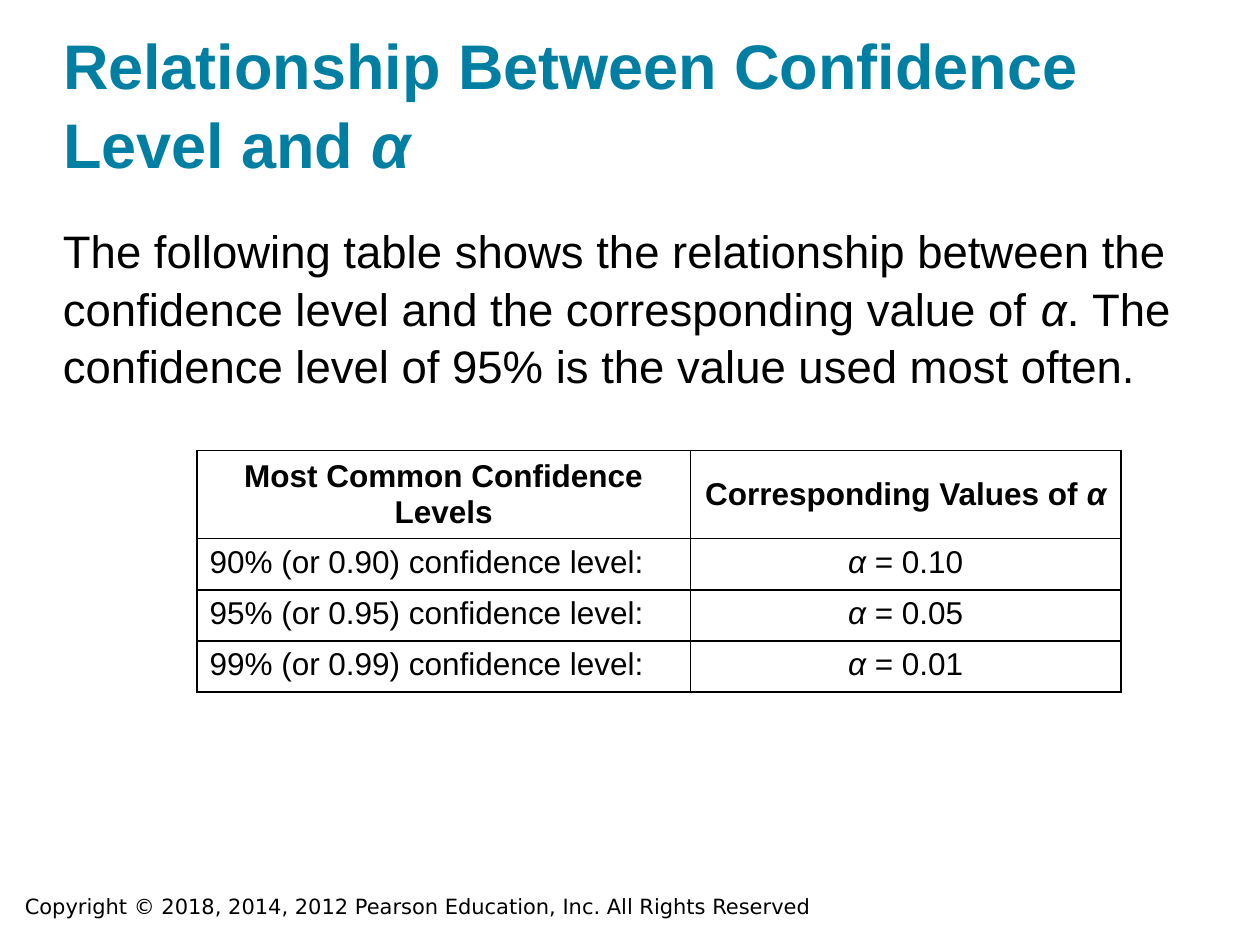
"""Build a slide relating confidence levels to their values of alpha."""
from dataclasses import dataclass

from lxml.etree import SubElement
from pptx import Presentation
from pptx.dml.color import RGBColor
from pptx.enum.text import MSO_ANCHOR, MSO_AUTO_SIZE, PP_ALIGN
from pptx.oxml.ns import qn
from pptx.util import Cm, Pt

COLORS = {"heading": "007FA3", "ink": "000000", "paper": "FFFFFF"}
ALPHA = "α"
NO_INSETS = dict.fromkeys(
    ("margin_left", "margin_right", "margin_top", "margin_bottom"), 0)


@dataclass
class TextStyle:
    size: float
    color: str = "ink"
    bold: bool = False
    font: str = "Arial"
    align: PP_ALIGN = PP_ALIGN.LEFT
    spacing: float = 1.0


@dataclass
class Box:
    left: float
    top: float
    width: float
    height: float

    def lengths(self) -> list:
        return [Cm(n) for n in (self.left, self.top, self.width, self.height)]


def apply(target, values: dict) -> None:
    for name, value in values.items():
        setattr(target, name, value)


def write(frame, text: str, style: TextStyle) -> None:
    """Write one paragraph, with every alpha in italics."""
    paragraph = frame.paragraphs[0]
    apply(paragraph, {"alignment": style.align, "line_spacing": style.spacing,
                      "space_before": Pt(0)})
    before, symbol, after = text.partition(ALPHA)
    for part in filter(None, (before, symbol, after)):
        run = paragraph.add_run()
        run.text = part
        apply(run.font, {"name": style.font, "size": Pt(style.size),
                         "bold": style.bold, "italic": part == ALPHA})
        run.font.color.rgb = RGBColor.from_string(COLORS[style.color])


def add_text(slide, box: Box, text: str, style: TextStyle, frame_format: dict) -> None:
    frame = slide.shapes.add_textbox(*box.lengths()).text_frame
    apply(frame, {"word_wrap": True, **frame_format})
    write(frame, text, style)


def format_cell(cell, text: str, style: TextStyle, anchor: MSO_ANCHOR) -> None:
    properties = cell._tc.get_or_add_tcPr()
    for side in ("lnL", "lnR", "lnT", "lnB"):
        border = SubElement(properties, qn(f"a:{side}"), w=str(Pt(1)))
        SubElement(SubElement(border, qn("a:solidFill")), qn("a:srgbClr"),
                   val=COLORS["ink"])
    cell.fill.solid()
    cell.fill.fore_color.rgb = RGBColor.from_string(COLORS["paper"])
    cell.vertical_anchor = anchor
    write(cell.text_frame, text, style)


def add_levels_table(slide, box: Box, rows: list[tuple[str, str]],
                     widths: list[float], heights: list[float]) -> None:
    table = slide.shapes.add_table(len(rows), len(widths), *box.lengths()).table
    apply(table, {"first_row": False, "horz_banding": False})
    for column, width in zip(table.columns, widths):
        column.width = Cm(width)
    for r, (row, height) in enumerate(zip(rows, heights)):
        table.rows[r].height = Cm(height)
        for c, text in enumerate(row):
            header = r == 0
            align = PP_ALIGN.CENTER if header or c else PP_ALIGN.LEFT
            anchor = MSO_ANCHOR.MIDDLE if header else MSO_ANCHOR.TOP
            format_cell(table.cell(r, c), text,
                        TextStyle(18, bold=header, align=align), anchor)


def main() -> None:
    deck = Presentation()
    apply(deck, {"slide_width": Cm(25.4), "slide_height": Cm(19.05)})
    slide = deck.slides.add_slide(deck.slide_layouts[5])

    title = slide.shapes.title
    apply(title, dict(zip(("left", "top", "width", "height"),
                          Box(1.27, 0.61, 22.86, 3.05).lengths())))
    apply(title.text_frame, {**NO_INSETS, "word_wrap": True,
                             "vertical_anchor": MSO_ANCHOR.BOTTOM,
                             "auto_size": MSO_AUTO_SIZE.NONE})
    write(title.text_frame, f"Relationship Between Confidence Level and {ALPHA}",
          TextStyle(36, "heading", bold=True, spacing=1.05))

    add_text(slide, Box(1.27, 4.45, 22.86, 3.38),
             "The following table shows the relationship between the confidence "
             f"level and the corresponding value of {ALPHA}. The confidence level "
             "of 95% is the value used most often.",
             TextStyle(26, spacing=1.05), NO_INSETS)

    levels = [("90%", "0.90", "0.10"), ("95%", "0.95", "0.05"), ("99%", "0.99", "0.01")]
    rows = [("Most Common Confidence Levels", f"Corresponding Values of {ALPHA}")]
    rows += [(f"{percent} (or {decimal}) confidence level:", f"{ALPHA} = {value}")
             for percent, decimal, value in levels]
    widths, heights = [9.95, 8.68], [1.68] + [1.03] * len(levels)
    add_levels_table(slide, Box(3.97, 9.08, sum(widths), sum(heights)),
                     rows, widths, heights)

    add_text(slide, Box(0.25, 17.88, 19.89, 0.76),
             "Copyright © 2018, 2014, 2012 Pearson Education, Inc. All Rights Reserved",
             TextStyle(12, font="DejaVu Sans"), {})
    deck.save("out.pptx")


if __name__ == "__main__":
    main()
